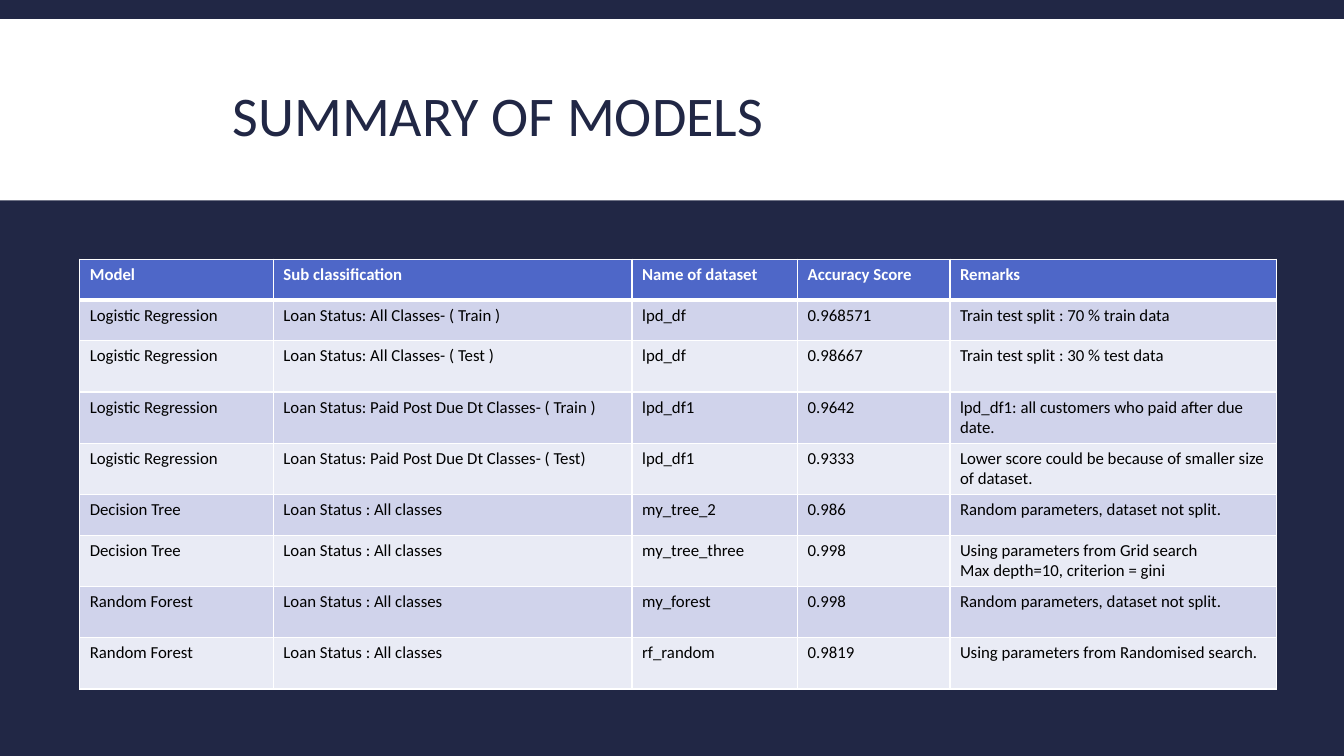
import pptx
import pptx.util
import pptx.dml.color
import pptx.enum.shapes
import pptx.enum.text
import pptx.oxml
import pptx.oxml.ns
from dataclasses import dataclass

Cm = pptx.util.Cm
Pt = pptx.util.Pt


@dataclass(frozen=True)
class Theme:
    navy: str = "212745"
    white: str = "FFFFFF"
    black: str = "000000"
    blue: str = "4E67C8"
    bands: tuple = ("D0D3EB", "E9EBF5")
    font: str = "Calibri"
    head: int = 40
    body: int = 12


THEME = Theme()
WIDTH, HEIGHT = 33.87, 19.05
LOW, TALL = 1.03, 1.29
COLS = (4.88, 9.04, 4.17, 3.84, 8.23)
HEADS = ("Model", "Sub classification", "Name of dataset", "Accuracy Score", "Remarks")
MODELS = (
    (LOW, "Logistic Regression", "Loan Status: All Classes- ( Train )", "lpd_df",
     "0.968571", "Train test split : 70 % train data"),
    (TALL, "Logistic Regression", "Loan Status: All Classes- ( Test )", "lpd_df",
     "0.98667", "Train test split : 30 % test data"),
    (TALL, "Logistic Regression", "Loan Status: Paid Post Due Dt Classes- ( Train )", "lpd_df1",
     "0.9642", "lpd_df1: all customers who paid after due date."),
    (TALL, "Logistic Regression", "Loan Status: Paid Post Due Dt Classes- ( Test)", "lpd_df1",
     "0.9333", "Lower score could be because of smaller size of dataset."),
    (LOW, "Decision Tree", "Loan Status : All classes", "my_tree_2",
     "0.986", "Random parameters, dataset not split."),
    (TALL, "Decision Tree", "Loan Status : All classes", "my_tree_three",
     "0.998", "Using parameters from Grid search\nMax depth=10, criterion = gini"),
    (TALL, "Random Forest", "Loan Status : All classes", "my_forest",
     "0.998", "Random parameters, dataset not split."),
    (TALL, "Random Forest", "Loan Status : All classes", "rf_random",
     "0.9819", "Using parameters from Randomised search."),
)


def paint(fill, color):
    fill.solid()
    fill.fore_color.rgb = pptx.dml.color.RGBColor.from_string(color)


def style(frame, size, color, bold=False):
    for para in frame.paragraphs:
        para.font.name = THEME.font
        para.font.size = Pt(size)
        para.font.bold = bold
        para.font.color.rgb = pptx.dml.color.RGBColor.from_string(color)


def border(cell, widths):
    props = cell._tc.get_or_add_tcPr()
    for side, width in widths.items():
        props.append(pptx.oxml.parse_xml(
            f'<a:ln{side} {pptx.oxml.ns.nsdecls("a")} w="{Pt(width)}"><a:solidFill>'
            f'<a:srgbClr val="{THEME.white}"/></a:solidFill></a:ln{side}>'))


def add_head(slide, left, top, width, height):
    band = slide.shapes.add_shape(
        pptx.enum.shapes.MSO_SHAPE.RECTANGLE, Cm(left), Cm(top), Cm(width), Cm(height))
    band.shadow.inherit = False
    paint(band.fill, THEME.white)
    band.line.fill.background()
    slide.shapes._spTree.insert(2, band._element)

    title = slide.shapes.title
    title.left, title.top = Cm(left + 5.61), Cm(top + 1.55)
    title.width, title.height = Cm(27.94), Cm(1.96)
    frame = title.text_frame
    frame.text = "SUMMARY OF MODELS"
    frame.vertical_anchor = pptx.enum.text.MSO_ANCHOR.MIDDLE
    para = frame.paragraphs[0]
    para.alignment = pptx.enum.text.PP_ALIGN.LEFT
    para.line_spacing = 0.85
    style(frame, THEME.head, THEME.navy)


def add_scores(slide, left, top):
    rows = ((LOW, *HEADS), *MODELS)
    high = sum(row[0] for row in rows)
    table = slide.shapes.add_table(
        len(rows), len(COLS), Cm(left), Cm(top), Cm(sum(COLS)), Cm(high)).table
    for col, width in zip(table.columns, COLS):
        col.width = Cm(width)
    for i, (tall, *texts) in enumerate(rows):
        table.rows[i].height = Cm(tall)
        first = i == 0
        fill = THEME.blue if first else THEME.bands[(i - 1) % 2]
        color = THEME.white if first else THEME.black
        edges = {"L": 1, "R": 1, "T": 3 if i == 1 else 1, "B": 3 if first else 1}
        for cell, text in zip(table.rows[i].cells, texts):
            cell.text = text
            style(cell.text_frame, THEME.body, color, first)
            border(cell, edges)
            paint(cell.fill, fill)


def main():
    deck = pptx.Presentation()
    deck.slide_width, deck.slide_height = Cm(WIDTH), Cm(HEIGHT)
    slide = deck.slides.add_slide(deck.slide_layouts.get_by_name("Title Only"))
    paint(slide.background.fill, THEME.navy)
    add_head(slide, 0, 0.48, WIDTH, 4.57)
    add_scores(slide, 2.01, 6.53)
    deck.save("out.pptx")


if __name__ == "__main__":
    main()
